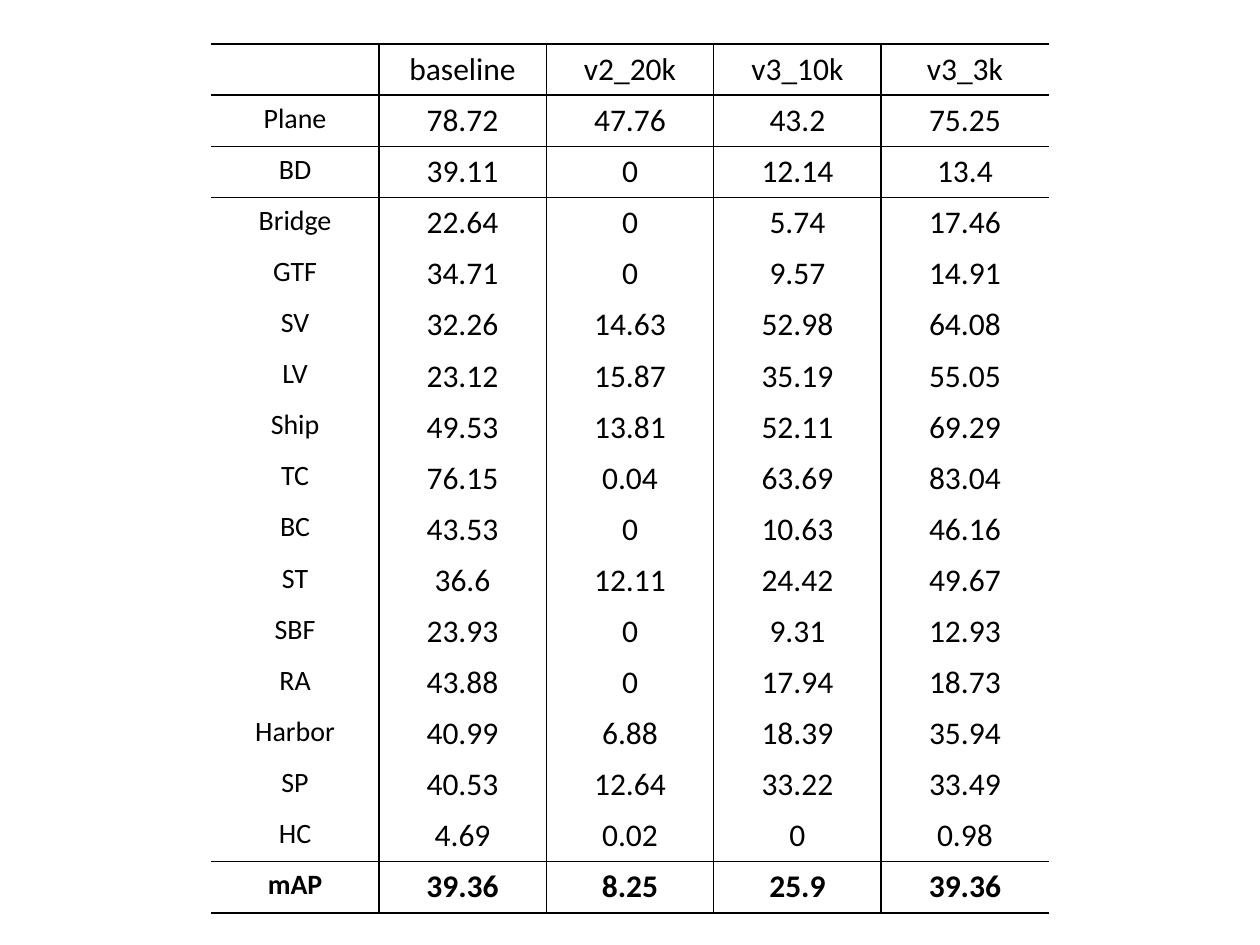
from dataclasses import dataclass

from lxml import etree
from pptx import Presentation
from pptx.dml.color import RGBColor
from pptx.enum.text import MSO_ANCHOR, PP_ALIGN
from pptx.oxml.ns import qn
from pptx.util import Cm, Pt

CENTER = PP_ALIGN.CENTER
TOP = MSO_ANCHOR.TOP
NO_GRID_STYLE = "{2D5ABB26-0587-4C30-8999-92F81FD0307C}"


@dataclass(frozen=True)
class Theme:
    font: str = "Calibri"
    ink: str = "000000"
    value_size: int = 18
    label_size: int = 16
    rule_width: int = 1


THEME = Theme()

HEADER = ["", "baseline", "v2_20k", "v3_10k", "v3_3k"]
SCORES = [
    ["Plane", "78.72", "47.76", "43.2", "75.25"],
    ["BD", "39.11", "0", "12.14", "13.4"],
    ["Bridge", "22.64", "0", "5.74", "17.46"],
    ["GTF", "34.71", "0", "9.57", "14.91"],
    ["SV", "32.26", "14.63", "52.98", "64.08"],
    ["LV", "23.12", "15.87", "35.19", "55.05"],
    ["Ship", "49.53", "13.81", "52.11", "69.29"],
    ["TC", "76.15", "0.04", "63.69", "83.04"],
    ["BC", "43.53", "0", "10.63", "46.16"],
    ["ST", "36.6", "12.11", "24.42", "49.67"],
    ["SBF", "23.93", "0", "9.31", "12.93"],
    ["RA", "43.88", "0", "17.94", "18.73"],
    ["Harbor", "40.99", "6.88", "18.39", "35.94"],
    ["SP", "40.53", "12.64", "33.22", "33.49"],
    ["HC", "4.69", "0.02", "0", "0.98"],
]
MEAN = ["mAP", "39.36", "8.25", "25.9", "39.36"]


def write_text(cell, text, size=THEME.value_size, bold=False):
    cell.vertical_anchor = TOP
    paragraph = cell.text_frame.paragraphs[0]
    paragraph.alignment = CENTER
    paragraph.font.size = Pt(size)
    if not text:
        return
    run = paragraph.add_run()
    run.text = text
    run.font.name = THEME.font
    run.font.size = Pt(size)
    run.font.bold = bold
    run.font.color.rgb = RGBColor.from_string(THEME.ink)


def draw_rules(cell, sides):
    """Draw a rule on each side named in sides, a subset of "LRTB"."""
    properties = cell._tc.get_or_add_tcPr()
    for side in "LRTB":
        if side in sides:
            rule = etree.SubElement(properties, qn(f"a:ln{side}"),
                                    w=str(Pt(THEME.rule_width)))
            fill = etree.SubElement(rule, qn("a:solidFill"))
            etree.SubElement(fill, qn("a:srgbClr"), val=THEME.ink)


def rule_sides(row, column, last_row, last_column):
    """Inner columns are ruled throughout; header, first and mean rows across."""
    ruled_edges = {0, 1, 2, last_row, last_row + 1}
    sides = {
        "L": column > 0,
        "R": column < last_column,
        "T": row in ruled_edges,
        "B": row + 1 in ruled_edges,
    }
    return [side for side, ruled in sides.items() if ruled]


def add_score_table(slide, rows):
    last_row, last_column = len(rows) - 1, len(rows[0]) - 1
    height = Cm(17.27)
    frame = slide.shapes.add_table(len(rows), len(rows[0]),
                                   Cm(4.26), Cm(0.89), Cm(16.88), height)
    table = frame.table
    table.first_row = table.horz_banding = False
    for style in frame.element.iter(qn("a:tableStyleId")):
        style.text = NO_GRID_STYLE
    for table_row in table.rows:
        table_row.height = Cm(0.89)
    frame.height = height

    for r, texts in enumerate(rows):
        for c, text in enumerate(texts):
            cell = table.cell(r, c)
            write_text(cell, text, bold=r == last_row,
                       size=THEME.value_size if c else THEME.label_size)
            draw_rules(cell, rule_sides(r, c, last_row, last_column))
            cell.fill.background()


def main():
    presentation = Presentation()
    presentation.slide_width, presentation.slide_height = Cm(25.4), Cm(19.05)
    slide = presentation.slides.add_slide(presentation.slide_layouts[6])
    add_score_table(slide, [HEADER, *SCORES, MEAN])
    presentation.save("out.pptx")


if __name__ == "__main__":
    main()
